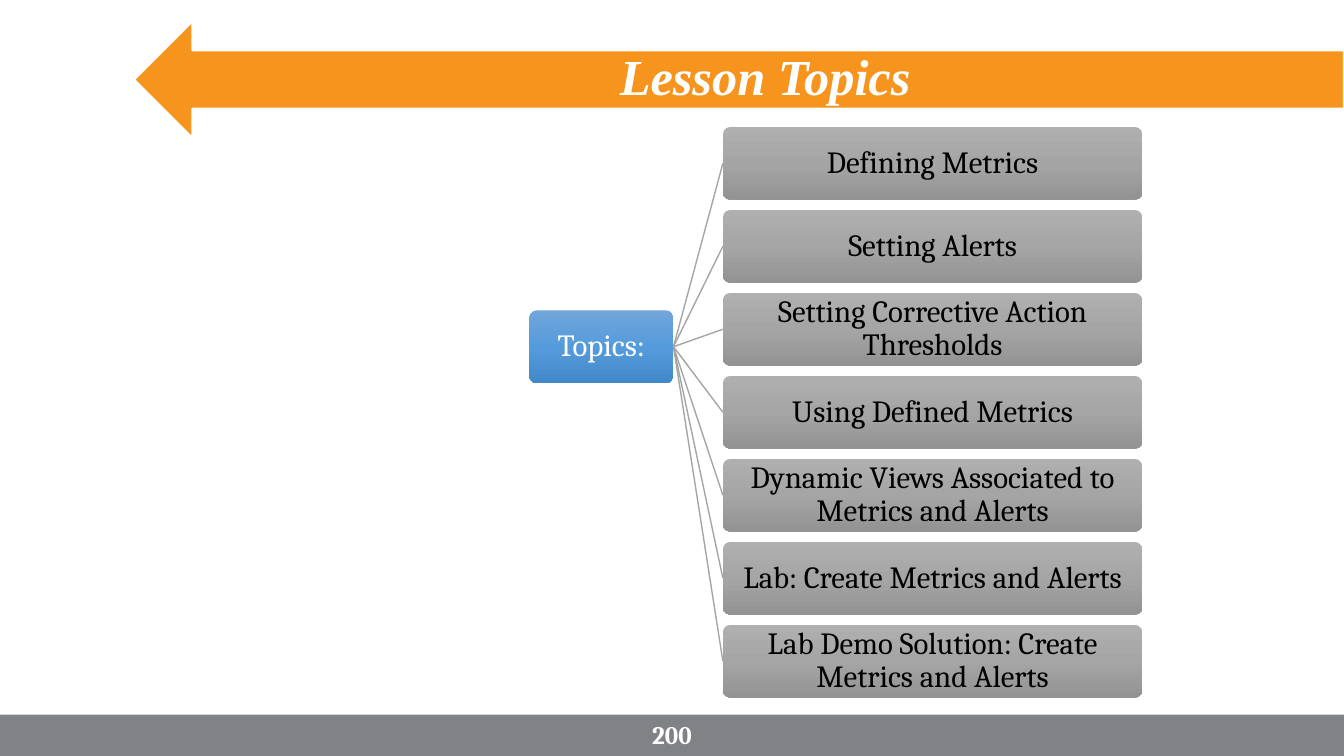
"""Builds the lesson topics slide."""
from copy import deepcopy

from pptx import Presentation
from pptx import util as u
from pptx.dml.color import RGBColor
from pptx.enum import shapes, text
from pptx.oxml.ns import qn
from lxml import etree

WIDE, HIGH = 13.33, 7.5
TOP, LAST = 1.26, 6.2
BOX_H = 0.72
HUES = {
    "white": "FFFFFF", "black": "000000", "orange": "F7941D",
    "slate": "818286", "gray": "A5A5A5",
}
FADES = {
    "blue": ("71A6DB", "559BDB", "448ACA"),
    "gray": ("AFAFAF", "A5A5A5", "939393"),
}
TOPICS = [
    "Defining Metrics",
    "Setting Alerts",
    "Setting Corrective Action Thresholds",
    "Using Defined Metrics",
    "Dynamic Views Associated to Metrics and Alerts",
    "Lab: Create Metrics and Alerts",
    "Lab Demo Solution: Create Metrics and Alerts",
]


def hue(name):
    """Return the named colour."""
    return RGBColor.from_string(HUES[name])


def area(*nums):
    """Turn inches into lengths."""
    return [u.Inches(n) for n in nums]


def write(shape, words, size, color, face="Cambria", bold=False, slant=False, lead=0.9):
    """Put one centred line of text in a shape."""
    frame = shape.text_frame
    frame.word_wrap = True
    frame.auto_size = text.MSO_AUTO_SIZE.NONE
    frame.vertical_anchor = text.MSO_ANCHOR.MIDDLE
    para = frame.paragraphs[0]
    para.alignment = text.PP_ALIGN.CENTER
    para.line_spacing = lead
    run = para.add_run()
    run.text = words
    font = run.font
    font.name, font.size = face, u.Pt(size)
    font.bold, font.italic = bold, slant
    font.color.rgb = hue(color)


def block(slide, kind, place, color, edge=None):
    """Add a plain shape with an optional outline."""
    shape = slide.shapes.add_shape(kind, *area(*place))
    shape.shadow.inherit = False
    shape.fill.solid()
    shape.fill.fore_color.rgb = hue(color)
    if edge:
        shape.line.color.rgb = hue(edge)
        shape.line.width = u.Pt(1.5)
    else:
        shape.line.fill.background()
    return shape


def fade(shape, tones):
    """Fill a shape from top to bottom with three tones."""
    shape.fill.gradient()
    shape.fill.gradient_angle = 270
    first = shape.fill.gradient_stops[0]
    stops = shape._element.spPr.find(".//" + qn("a:gsLst"))
    stops.insert(1, deepcopy(stops[0]))
    for spot, (stop, tone) in enumerate(zip(shape.fill.gradient_stops, tones)):
        stop.position = spot / 2
        stop.color.rgb = RGBColor.from_string(tone)


def node(slide, place, words, tone, color):
    """Add a rounded box with its label."""
    box = block(slide, shapes.MSO_SHAPE.ROUNDED_RECTANGLE, place, "gray")
    box.adjustments[0] = 0.1
    fade(box, FADES[tone])
    frame = box.text_frame
    frame.margin_left = frame.margin_right = u.Inches(0.02)
    frame.margin_top = frame.margin_bottom = u.Inches(0.02)
    write(box, words, 22, color)
    return box


def link(slide, hub, box):
    """Join the hub's right side to a box's left side."""
    line = slide.shapes.add_connector(shapes.MSO_CONNECTOR.STRAIGHT, 0, 0, 0, 0)
    line.begin_connect(hub, 3)
    line.end_connect(box, 1)
    line.line.color.rgb = hue("gray")
    line.line.width = u.Pt(1)
    etree.SubElement(line._element.spPr, qn("a:effectLst"))


def head(slide):
    """Add the arrow banner and the title above it."""
    title = slide.shapes.title
    arrow = block(slide, shapes.MSO_SHAPE.LEFT_ARROW,
                  (1.33, 0.21, 12, 1.16), "orange", "white")
    arrow._element.addnext(title._element)
    title.left, title.top, title.width, title.height = area(1.66, 0.21, 11.86, 1.16)
    write(title, "Lesson Topics", 36, "white", "Times New Roman", True, True)


def foot(slide):
    """Add the bottom band and the page number."""
    block(slide, shapes.MSO_SHAPE.RECTANGLE, (0, 7.09, WIDE, HIGH - 7.09), "slate")
    page = slide.shapes.add_textbox(*area(6.29, 7.09, 0.75, 0.4))
    write(page, "200", 18, "white", bold=True, lead=1)


def tree(slide):
    """Add the hub and its column of topics."""
    step = (LAST - TOP) / (len(TOPICS) - 1)
    mid = (TOP + LAST) / 2
    hub = node(slide, (5.25, mid - step * 0.79, 1.43, BOX_H), "Topics:", "blue", "white")
    for row, words in enumerate(TOPICS):
        place = (7.17, TOP + row * step, 4.16, BOX_H)
        link(slide, hub, node(slide, place, words, "gray", "black"))


def main():
    """Build and save the slide."""
    deck = Presentation()
    deck.slide_width, deck.slide_height = area(WIDE, HIGH)
    slide = deck.slides.add_slide(deck.slide_layouts[5])
    head(slide)
    foot(slide)
    tree(slide)
    deck.save("out.pptx")


if __name__ == "__main__":
    main()
